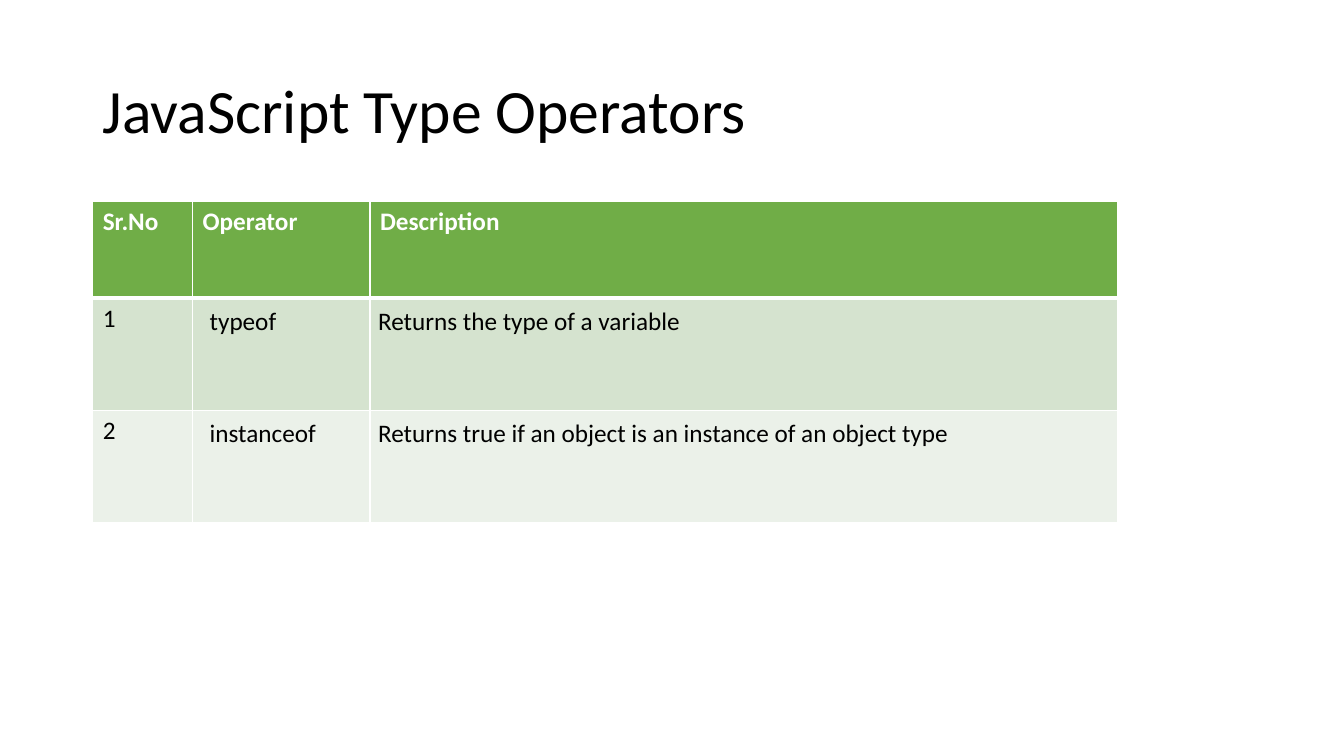
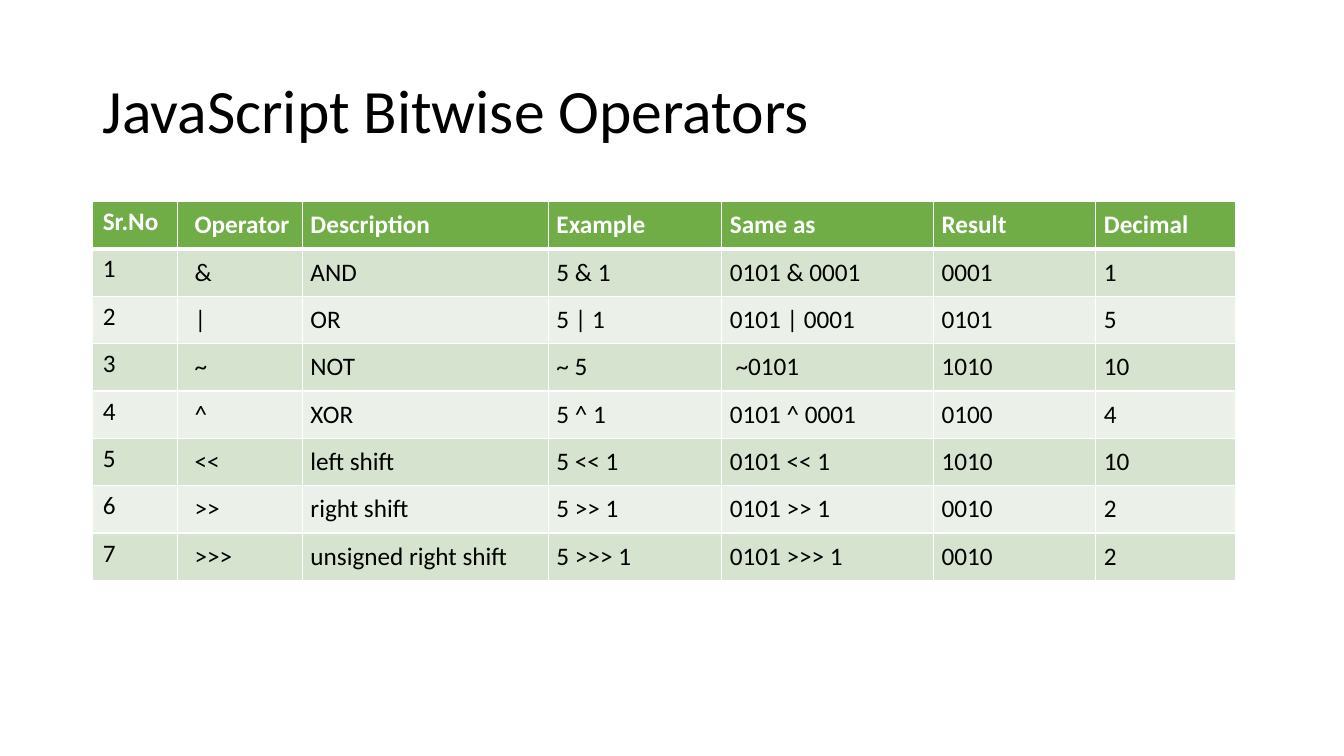
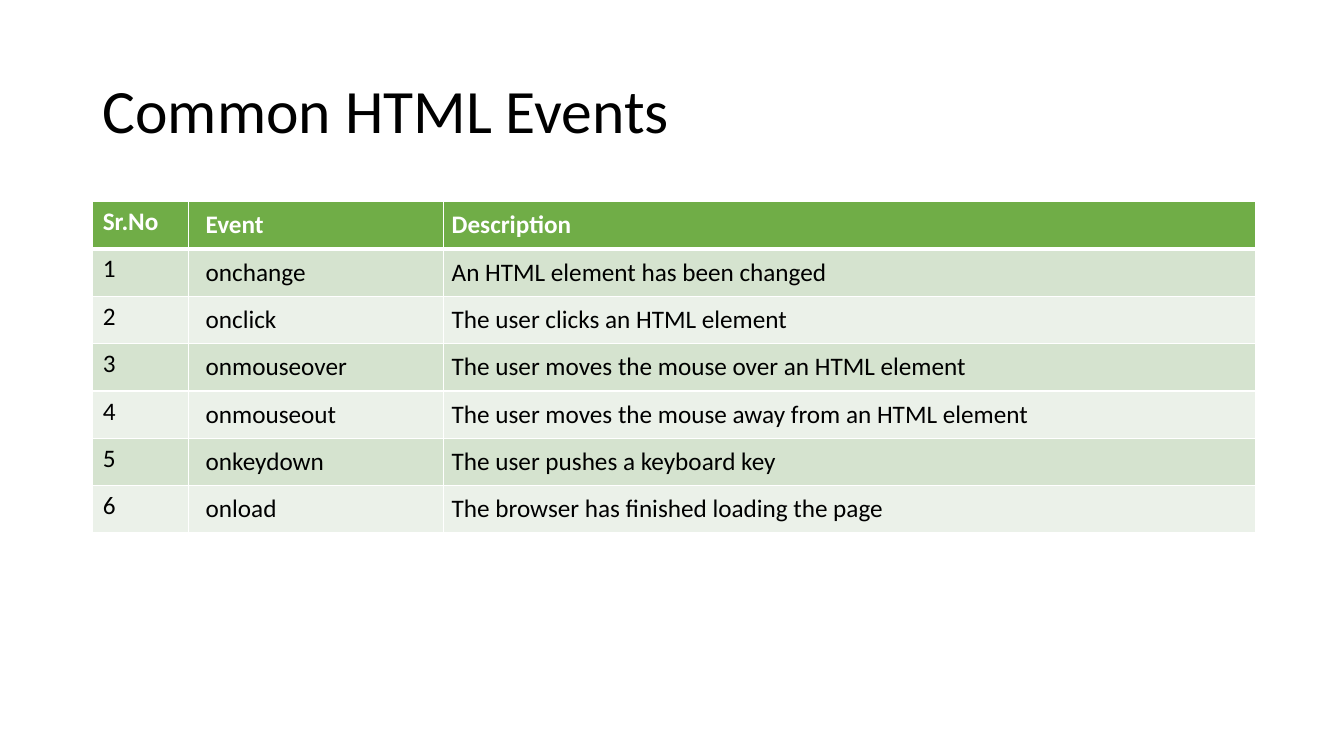
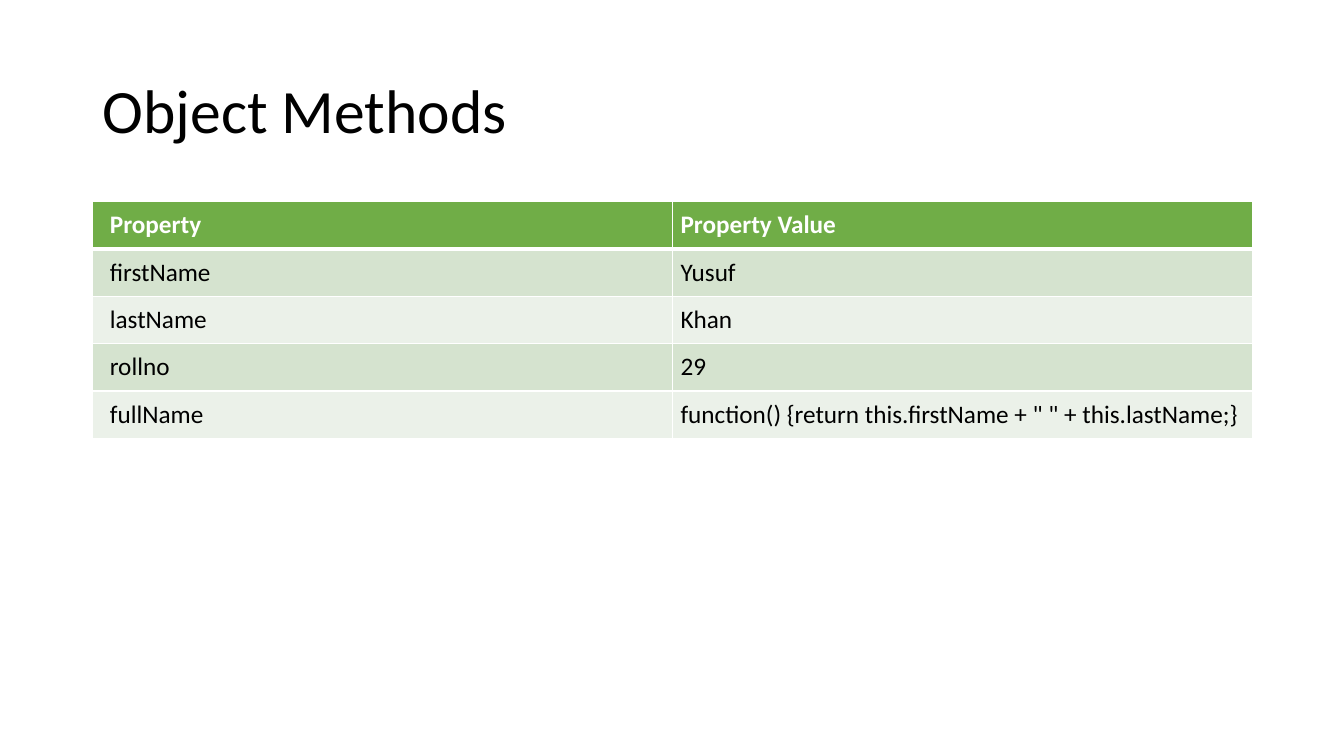
from lxml import etree
from pptx import Presentation
from pptx.dml.color import RGBColor
from pptx.enum.text import MSO_ANCHOR
from pptx.oxml.ns import qn
from pptx.util import Inches, Pt

MIDDLE = MSO_ANCHOR.MIDDLE

# Each slide: title, column widths and row heights in inches, rows (header first),
# the number column and the plain_header flag, which keeps the header's default margins.
SLIDES = [
    {
        "title": "JavaScript Type Operators",
        "widths": [0.99, 1.76, 7.42],
        "heights": [0.96, 1.11, 1.11],
        "numbered": True,
        "plain_header": True,
        "rows": [
            ("Operator", "Description"),
            ("typeof", "Returns the type of a variable"),
            ("instanceof", "Returns true if an object is an instance of an object type"),
        ],
    },
    {
        "title": "JavaScript Bitwise Operators",
        "widths": [0.84, 1.24, 2.44, 1.72, 2.1, 1.61, 1.39],
        "numbered": True,
        "rows": [
            ("Operator", "Description", "Example", "Same as", "Result", "Decimal"),
            ("&", "AND", "5 & 1", "0101 & 0001", "0001", "1"),
            ("|", "OR", "5 | 1", "0101 | 0001", "0101", "5"),
            ("~", "NOT", "~ 5", " ~0101", "1010", "10"),
            ("^", "XOR", "5 ^ 1", "0101 ^ 0001", "0100", "4"),
            ("<<", "left shift", "5 << 1", "0101 << 1", "1010", "10"),
            (">>", "right shift", "5 >> 1", "0101 >> 1", "0010", "2"),
            (">>>", "unsigned right shift", "5 >>> 1", "0101 >>> 1", "0010", "2"),
        ],
    },
    {
        "title": "Common HTML Events",
        "widths": [0.95, 2.53, 8.05],
        "numbered": True,
        "rows": [
            ("Event", "Description"),
            ("onchange", "An HTML element has been changed"),
            ("onclick", "The user clicks an HTML element"),
            ("onmouseover", "The user moves the mouse over an HTML element"),
            ("onmouseout", "The user moves the mouse away from an HTML element"),
            ("onkeydown", "The user pushes a keyboard key"),
            ("onload", "The browser has finished loading the page"),
        ],
    },
    {
        "title": "Object Methods",
        "widths": [5.75, 5.75],
        "numbered": False,
        "rows": [
            ("Property", "Property Value"),
            ("firstName", "Yusuf"),
            ("lastName", "Khan"),
            ("rollno", "29"),
            ("fullName", 'function() {return this.firstName + " " + this.lastName;}'),
        ],
    },
]

FONT = "Calibri"
BLACK, WHITE = "000000", "FFFFFF"
HEADER_FILL = "70AD47"
BAND_FILLS = ["D5E3CF", "EBF1E9"]
LEFT, TABLE_TOP = 0.92, 2
ROW_HEIGHT = 0.47
CELL_MARGIN, KEY_MARGIN = 0.08, 0.17
THIN, THICK = 1, 3


def rgb(color):
    return RGBColor.from_string(color)


def style_text(paragraph, size, color, bold=False):
    for run in paragraph.runs:
        run.font.name = FONT
        run.font.size = Pt(size)
        run.font.bold = bold
        run.font.color.rgb = rgb(color)


def add_title(slide, title):
    box = slide.shapes.add_textbox(Inches(LEFT), Inches(0.4), Inches(11.5), Inches(1.45))
    frame = box.text_frame
    frame.word_wrap = True
    frame.vertical_anchor = MIDDLE
    frame.text = title
    frame.paragraphs[0].line_spacing = 0.9
    style_text(frame.paragraphs[0], 44, BLACK)


def set_borders(cell, top, bottom):
    """Draw white cell borders; call before the fill, which follows them in the XML."""
    properties = cell._tc.get_or_add_tcPr()
    for side, width in (("L", THIN), ("R", THIN), ("T", top), ("B", bottom)):
        line = etree.SubElement(properties, qn("a:ln" + side), w=str(Pt(width)))
        fill = etree.SubElement(line, qn("a:solidFill"))
        etree.SubElement(fill, qn("a:srgbClr"), val=WHITE)


def set_margins(cell, left):
    cell.margin_left = Inches(left)
    cell.margin_right = cell.margin_top = cell.margin_bottom = Inches(CELL_MARGIN)


def number_rows(rows):
    return [("Sr.No" if i == 0 else str(i), *row) for i, row in enumerate(rows)]


def add_grid(slide, content):
    rows, widths = content["rows"], content["widths"]
    if content["numbered"]:
        rows = number_rows(rows)
    key_column = 1 if content["numbered"] else 0
    heights = content.get("heights", [ROW_HEIGHT] * len(rows))
    table = slide.shapes.add_table(
        len(rows), len(widths), Inches(LEFT), Inches(TABLE_TOP),
        Inches(sum(widths)), Inches(sum(heights))).table
    for column, width in zip(table.columns, widths):
        column.width = Inches(width)
    for r, (row, height) in enumerate(zip(rows, heights)):
        table.rows[r].height = Inches(height)
        header = r == 0
        for c, value in enumerate(row):
            cell = table.cell(r, c)
            set_borders(cell, THICK if r == 1 else THIN, THICK if header else THIN)
            cell.fill.solid()
            cell.fill.fore_color.rgb = rgb(HEADER_FILL if header else BAND_FILLS[(r - 1) % 2])
            if c >= key_column and not (header and content.get("plain_header")):
                set_margins(cell, KEY_MARGIN if c == key_column else CELL_MARGIN)
            cell.text_frame.text = value
            style_text(cell.text_frame.paragraphs[0], 18, WHITE if header else BLACK, header)


def main():
    deck = Presentation()
    deck.slide_width, deck.slide_height = Inches(13.33), Inches(7.5)
    blank = deck.slide_layouts[6]
    for content in SLIDES:
        slide = deck.slides.add_slide(blank)
        add_title(slide, content["title"])
        add_grid(slide, content)
    deck.save("out.pptx")


if __name__ == "__main__":
    main()
